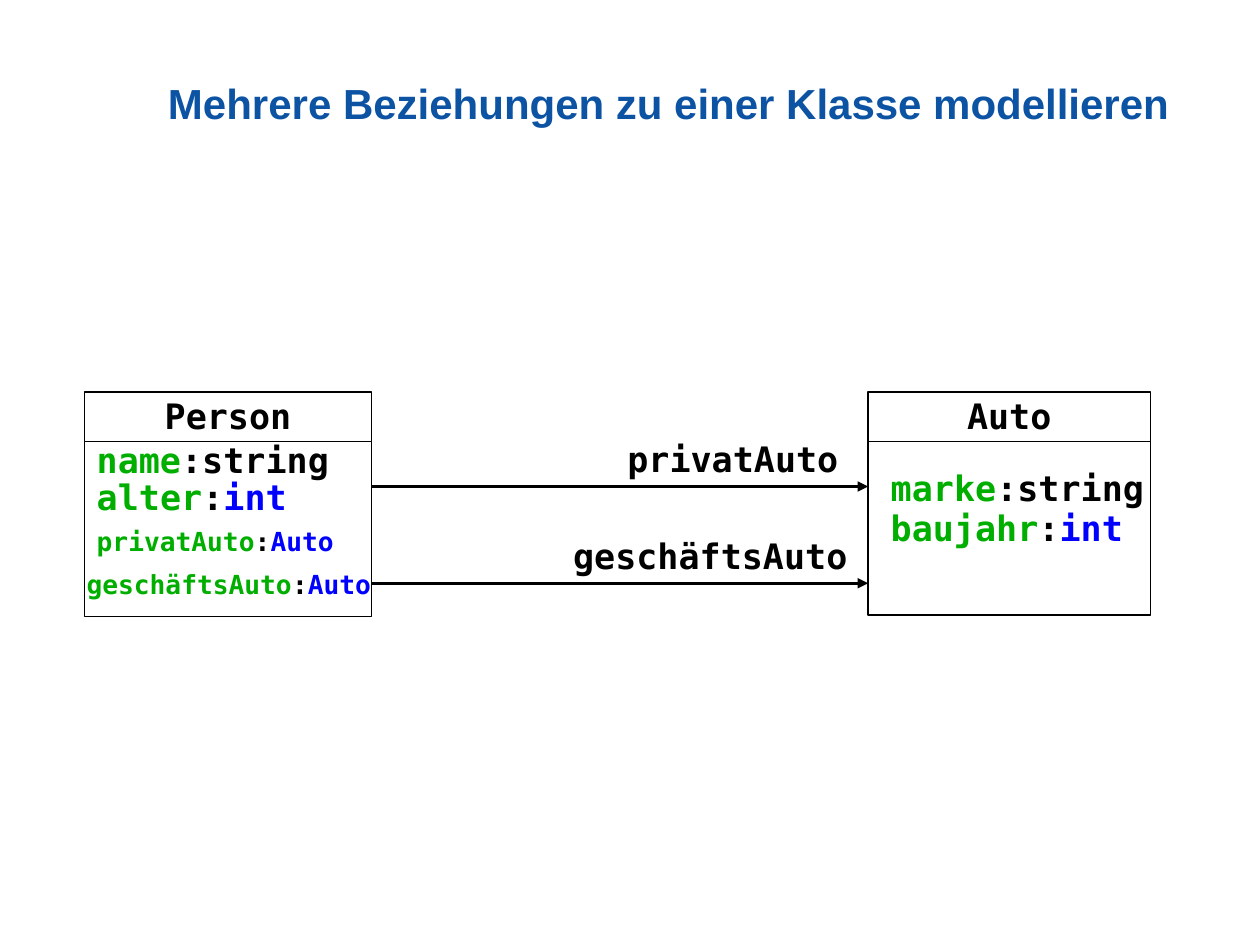
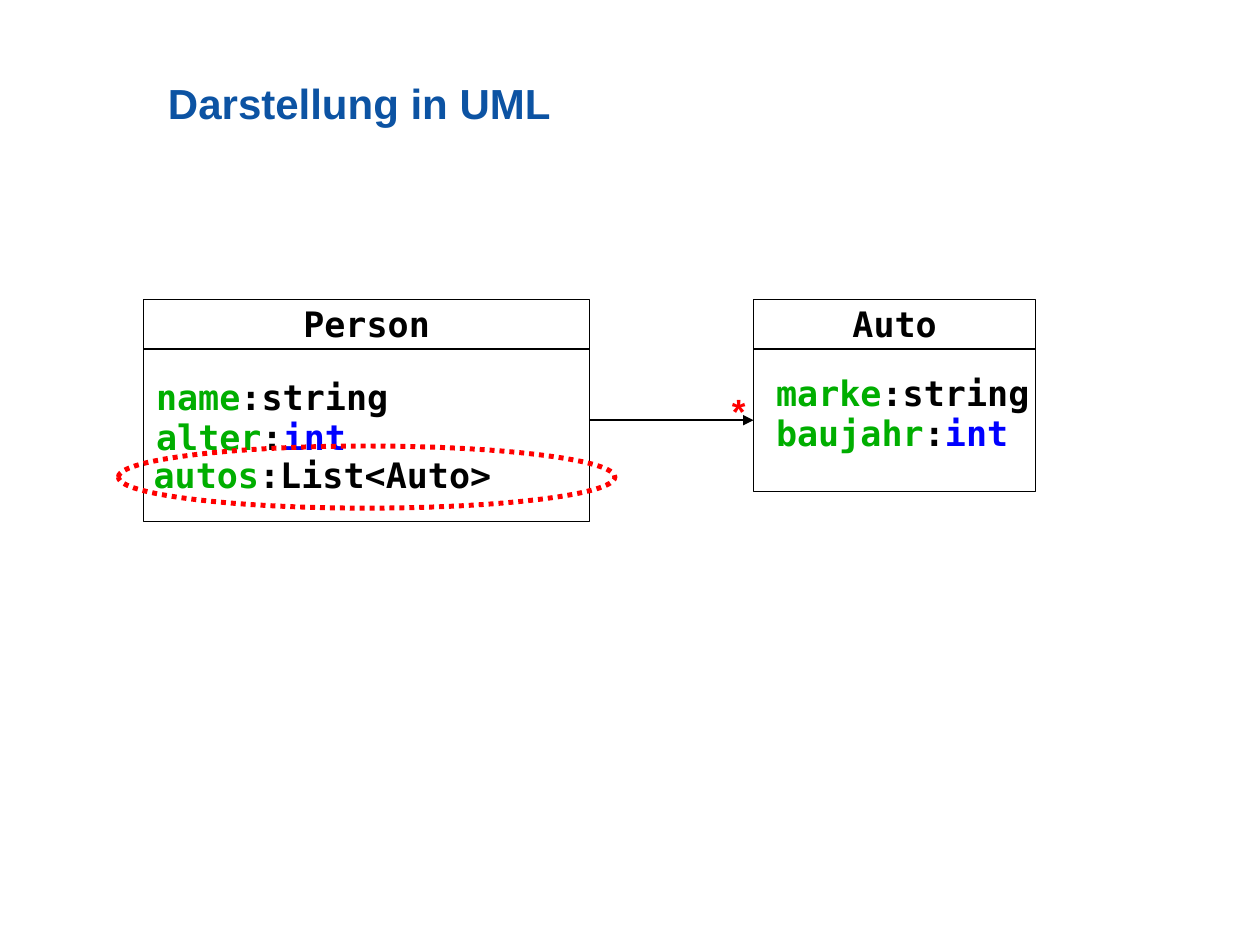
from pptx import Presentation
from pptx import util as u
from pptx.dml import color as dml
from pptx.enum import dml as lines, shapes, text
from pptx.oxml import ns
from lxml import etree

COLORS = {"title": "0C53A3", "ink": "000000", "paper": "FFFFFF",
          "name": "00AE00", "type": "0000FF", "accent": "FF0000"}
MONO, SANS = "DejaVu Sans Mono", "Arial"
CHAR_WIDTH = 0.602  # advance of the mono font, in em
HEAD_H = 28.2
BLUE_TYPES = ("int", "Auto")


def rgb(name):
    return dml.RGBColor.from_string(COLORS[name])


def write(sp, runs, size=20, font=MONO, align=text.PP_ALIGN.LEFT,
          anchor=text.MSO_ANCHOR.TOP, spacing=0.89,
          insets=(7.2, 5.8, 7.2, 3.6), wrap=True):
    """Fill a shape with one bold paragraph of (text, colour) runs."""
    tf = sp.text_frame
    tf.word_wrap = wrap
    tf.vertical_anchor = anchor
    tf.margin_left, tf.margin_top, tf.margin_right, tf.margin_bottom = map(u.Pt, insets)
    p = tf.paragraphs[0]
    p.alignment = align
    p.line_spacing = spacing
    for content, color in runs:
        r = p.add_run()
        r.text = content
        r.font.name = font
        r.font.size = u.Pt(size)
        r.font.bold = True
        r.font.color.rgb = rgb(color)


def add_text(s, x, y, w, h, runs, **fmt):
    write(s.shapes.add_textbox(*map(u.Pt, (x, y, w, h))), runs, **fmt)


def add_outline(s, kind, x, y, w, h, fill="paper", line="ink", weight=0.75):
    sp = s.shapes.add_shape(kind, *map(u.Pt, (x, y, w, h)))
    sp.shadow.inherit = False
    if fill:
        sp.fill.solid()
        sp.fill.fore_color.rgb = rgb(fill)
    else:
        sp.fill.background()
    sp.line.color.rgb = rgb(line)
    sp.line.width = u.Pt(weight)
    return sp


def mono_line(s, x, y, runs, size=20):
    """One line of code text in a box that is just wide enough."""
    chars = sum(len(content) for content, _ in runs)
    add_text(s, x, y, chars * CHAR_WIDTH * size + 22, 30.4, runs, size=size)


def add_title(s, content):
    add_text(s, 96, 24, 612, 72, [(content, "title")], size=24, font=SANS,
             anchor=text.MSO_ANCHOR.MIDDLE, spacing=0.95, insets=(0, 0, 0, 0))


def add_class(s, box, name, attributes):
    """UML class; attributes are (name, type, dx, dy, size) from the box corner."""
    x, y, w, h = box
    rect = shapes.MSO_SHAPE.RECTANGLE
    body = add_outline(s, rect, x, y + HEAD_H, w, h - HEAD_H)
    head = add_outline(s, rect, x, y, w, HEAD_H)
    write(head, [(name, "ink")], align=text.PP_ALIGN.CENTER,
          anchor=text.MSO_ANCHOR.MIDDLE, wrap=False)
    for attr, kind, dx, dy, size in attributes:
        runs = [(attr, "name"), (":", "ink"),
                (kind, "type" if kind in BLUE_TYPES else "ink")]
        mono_line(s, x + dx, y + dy, runs, size)
    return body


def add_arrow(s, x1, x2, y):
    c = s.shapes.add_connector(shapes.MSO_CONNECTOR.STRAIGHT,
                               *map(u.Pt, (x1, y, x2, y)))
    c.line.color.rgb = rgb("ink")
    c.line.width = u.Pt(1.42)
    etree.SubElement(c.line._get_or_add_ln(), ns.qn("a:tailEnd"), type="triangle")
    etree.SubElement(c._element.spPr, ns.qn("a:effectLst"))
    return c


def car_attributes(dy):
    return [("marke", "string", 5.8, dy, 20), ("baujahr", "int", 5.8, dy + 23, 20)]


def relations_slide(s):
    add_title(s, "Mehrere Beziehungen zu einer Klasse modellieren")
    person, car = (48.2, 224, 164.2, 128.2), (496.1, 224, 161.3, 127.4)
    add_class(s, person, "Person", [
        ("name", "string", 0, 23.8, 20),
        ("alter", "int", 0, 44.6, 20),
        ("privatAuto", "Auto", 0, 72.7, 15),
        ("geschäftsAuto", "Auto", -5.8, 97.2, 15)])
    add_class(s, car, "Auto", car_attributes(39.6))

    # Named associations
    for role, dy, back in (("privatAuto", 54, 144.7), ("geschäftsAuto", 109.3, 175.7)):
        y = car[1] + dy
        add_arrow(s, person[0] + person[2], car[0], y)
        mono_line(s, car[0] - back, y - 30.6, [(role, "ink")])


def uml_slide(s):
    add_title(s, "Darstellung in UML")
    person, car = (82.1, 171.2, 254.9, 126.7), (430.6, 171.2, 161.3, 109.6)
    add_class(s, person, "Person", [
        ("name", "string", 0, 40.4, 20),
        ("alter", "int", 0, 63.6, 20),
        ("autos", "List<Auto>", -1.4, 85.2, 20)])
    body = add_class(s, car, "Auto", car_attributes(38.2))

    # Association with its multiplicity
    middle = car[1] + (HEAD_H + car[3]) / 2
    arrow = add_arrow(s, person[0] + person[2], car[0], middle)
    arrow.end_connect(body, 1)
    add_text(s, car[0] - 19.5, car[1] + 48.4, 17.3, 28, [("*", "accent")],
             font=SANS, spacing=0.93, insets=(7.2, 5, 7.2, 3.6))

    # Highlight around the list attribute
    ring = add_outline(s, shapes.MSO_SHAPE.OVAL, person[0] - 14.4, person[1] + 83.7,
                       person[2] + 28.8, 35.5, fill=None, line="accent", weight=2.83)
    ring.line.dash_style = lines.MSO_LINE.ROUND_DOT


def main():
    prs = Presentation()
    prs.slide_width, prs.slide_height = u.Pt(720), u.Pt(540)
    for build in (relations_slide, uml_slide):
        build(prs.slides.add_slide(prs.slide_layouts[6]))
    prs.save("out.pptx")


if __name__ == "__main__":
    main()
